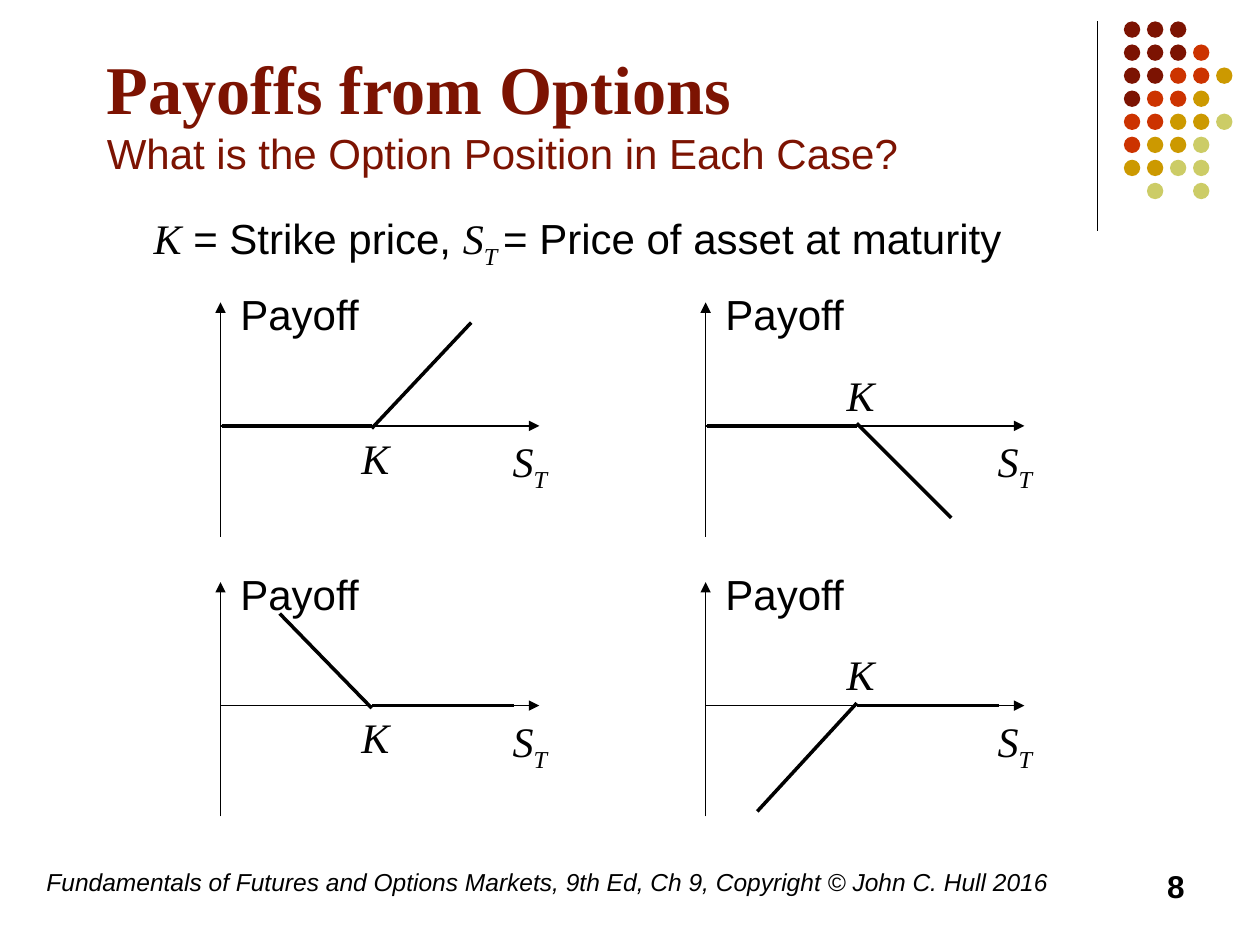
from dataclasses import dataclass

from lxml.etree import SubElement
from pptx import Presentation
from pptx.dml.color import RGBColor
from pptx.enum.shapes import MSO_CONNECTOR, MSO_SHAPE
from pptx.enum.text import MSO_ANCHOR, MSO_AUTO_SIZE, PP_ALIGN
from pptx.oxml.ns import qn
from pptx.util import Inches, Pt


@dataclass(frozen=True)
class Theme:
    ink: str = "000000"
    wine: str = "7C1302"
    red: str = "CC3300"
    gold: str = "CC9900"
    lime: str = "CCCC66"
    sans: str = "Arial"
    serif: str = "Times New Roman"
    title: int = 39
    body: int = 24
    page: int = 18
    foot: int = 14
    thin: float = 0.75
    axis: float = 1
    bold: float = 2


THEME = Theme()


def style(run, size=THEME.body, face=THEME.sans, color=THEME.ink,
          bold=False, italic=False, sub=False):
    font = run.font
    font.size, font.name = Pt(size), face
    font.bold, font.italic = bold, italic
    font.color.rgb = RGBColor.from_string(color)
    if sub:
        run._r.get_or_add_rPr().set("baseline", "-25000")


def add_text(slide, box, parts, wrap=True):
    """Add a text box from (text, style) parts."""
    shape = slide.shapes.add_textbox(*map(Inches, box))
    frame = shape.text_frame
    frame.word_wrap = wrap
    if not wrap:
        frame.auto_size = MSO_AUTO_SIZE.SHAPE_TO_FIT_TEXT
    for text, look in parts:
        run = frame.paragraphs[0].add_run()
        run.text = text
        style(run, **look)
    return frame


def add_line(slide, start, end, width, arrow=False):
    line = slide.shapes.add_connector(
        MSO_CONNECTOR.STRAIGHT, *map(Inches, (*start, *end)))
    line.line.width = Pt(width)
    line.line.color.rgb = RGBColor.from_string(THEME.ink)
    if arrow:
        SubElement(line.line._get_or_add_ln(), qn("a:tailEnd"), type="triangle")
    SubElement(line._element.spPr, qn("a:effectLst"))


MATH = dict(face=THEME.serif, italic=True)
PRICE = [("S", MATH), ("T", dict(MATH, sub=True))]


def add_dots(slide, left, top):
    """Rule and dot pattern in the top right corner."""
    add_line(slide, (left, top), (left, top + 1.66), THEME.thin)
    tints = dict(W=THEME.wine, R=THEME.red, G=THEME.gold, L=THEME.lime)
    rows = ("WWW", "WWWR", "WWRRG", "WRRG", "RRGGL", "RGGL", "GGLL", ".L.L")
    pitch, size = 0.183, 0.13
    for row, marks in enumerate(rows):
        for col, mark in enumerate(marks):
            if mark not in tints:
                continue
            spot = (left + 0.21 + col * pitch, top + row * pitch, size, size)
            dot = slide.shapes.add_shape(MSO_SHAPE.OVAL, *map(Inches, spot))
            dot.shadow.inherit = False
            dot.fill.solid()
            dot.fill.fore_color.rgb = RGBColor.from_string(tints[mark])
            dot.line.fill.background()


def add_head(slide, box):
    """Title with its question below."""
    frame = add_text(slide, box, [])
    frame.vertical_anchor = MSO_ANCHOR.MIDDLE
    para = frame.paragraphs[0]
    para.text = "Payoffs from Options\vWhat is the Option Position in Each Case?"
    name, question = para.runs
    style(name, THEME.title, THEME.serif, THEME.wine, bold=True)
    style(question, color=THEME.wine)


def add_key(slide, box):
    """Meaning of the symbols."""
    frame = add_text(slide, box, [
        ("K", MATH), (" = Strike price, ", {}), *PRICE,
        (" ", dict(MATH, sub=True)), ("= Price of asset at maturity", {})])
    frame.margin_left, frame.margin_top = Inches(0.47), Inches(0.19)


def add_graph(slide, box, flat, tip):
    """Payoff graph: flat is the far x of the level part, tip ends the slope."""
    left, top, width, height = box
    zero, kink = top + 0.98, left + 1.2
    up = tip[1] < 0

    # Axes
    add_line(slide, (left, top + height), (left, top), THEME.axis, arrow=True)
    add_line(slide, (left, zero), (left + width, zero), THEME.axis, arrow=True)

    # Labels
    add_text(slide, (left + 0.06, top - 0.16, 1.14, 0.5), [("Payoff", {})], False)
    add_text(slide, (left + 2.22, zero + 0.03, 0.49, 0.5), PRICE, False)
    k_top = zero if up else zero - 0.5
    add_text(slide, (left + 1.02, k_top, 0.42, 0.5), [("K", MATH)], False)

    # Payoff
    nudge = 0.02 if up else -0.02
    add_line(slide, (left + flat, zero), (kink, zero), THEME.bold)
    add_line(slide, (kink, zero + nudge), (left + tip[0], zero + tip[1]), THEME.bold)


def add_foot(slide, box):
    """Source line and page number."""
    left, top, width, height = box
    add_text(slide, (left, top, 8.27, height), [(
        "Fundamentals of Futures and Options Markets, 9th Ed, Ch 9, "
        "Copyright © John C. Hull 2016", dict(size=THEME.foot, italic=True))])
    page = add_text(slide, (left + width - 2.33, top, 2.33, height),
                    [("8", dict(size=THEME.page, bold=True))])
    page.paragraphs[0].alignment = PP_ALIGN.RIGHT


def main():
    deck = Presentation()
    deck.slide_width, deck.slide_height = Inches(10), Inches(7.5)
    slide = deck.slides.add_slide(deck.slide_layouts[6])

    add_dots(slide, 8.71, 0.17)
    add_head(slide, (0.75, 0.39, 8.5, 1))
    add_key(slide, (0.75, 1.5, 8.5, 0.7))

    # Two by two grid of positions, row by row
    cases = ((0.01, (1.99, -0.82)), (0.01, (1.95, 0.73)),
             (2.33, (0.47, -0.73)), (2.33, (0.41, 0.84)))
    for i, (flat, tip) in enumerate(cases):
        row, col = divmod(i, 2)
        box = (1.75 + col * 3.85, 2.4 + row * 2.22, 2.53, 1.86)
        add_graph(slide, box, flat, tip)

    add_foot(slide, (0.27, 6.83, 9.23, 0.5))
    deck.save("out.pptx")


if __name__ == "__main__":
    main()
